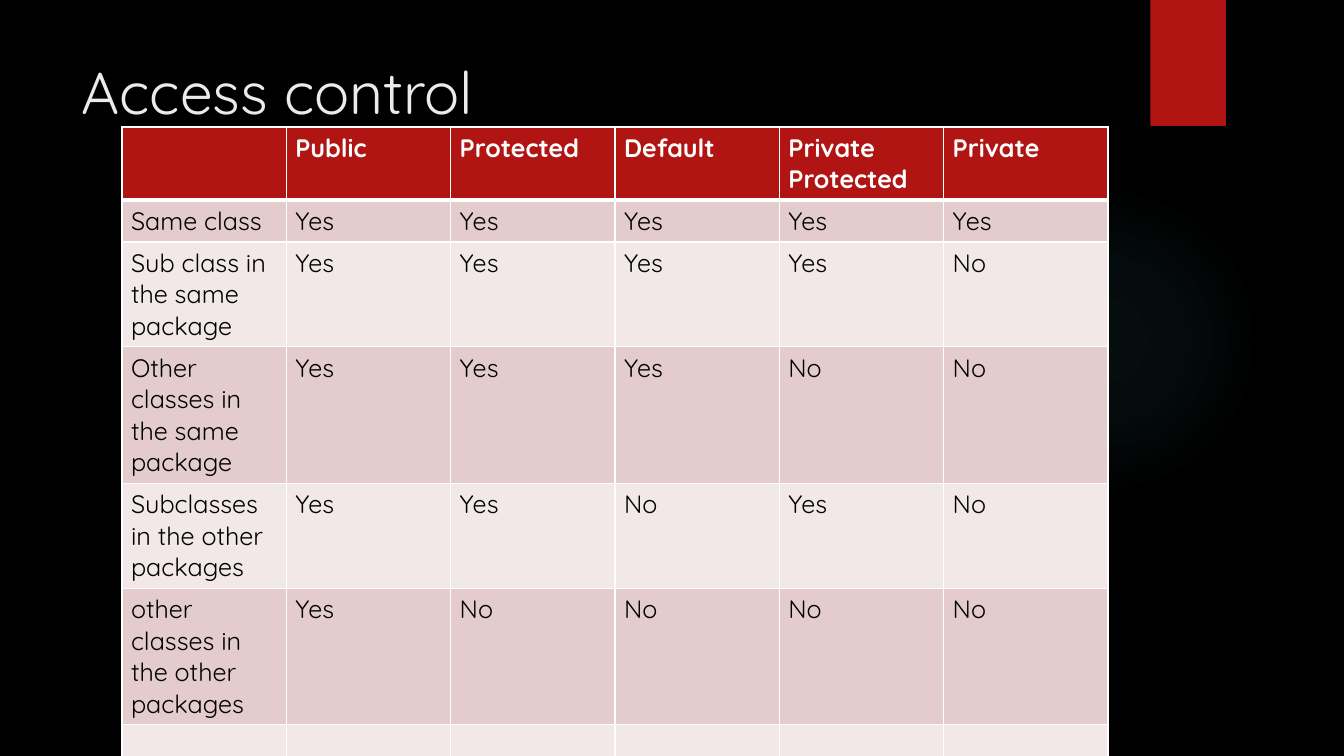
from lxml import etree
from pptx import Presentation
from pptx.dml.color import RGBColor
from pptx.enum.shapes import MSO_SHAPE
from pptx.enum.text import MSO_ANCHOR, PP_ALIGN
from pptx.oxml.ns import qn
from pptx.util import Inches, Pt

OVAL = MSO_SHAPE.OVAL
RECTANGLE = MSO_SHAPE.RECTANGLE
TOP = MSO_ANCHOR.TOP
LEFT = PP_ALIGN.LEFT

FONT = "Quicksand"
BLACK = "000000"
WHITE = "FFFFFF"
RED = "B01513"
GLOW = "50B9C1"
TITLE_COLOUR = "EBEBEB"
BANDS = ["F2E8E7", "E4CCCC"]

COLUMN_WIDTH = 1.63
ROW_HEIGHT = 0.41
ACCESS_ROWS = [
    ["", "Public", "Protected", "Default", "Private Protected", "Private"],
    ["Same class", "Yes", "Yes", "Yes", "Yes", "Yes"],
    ["Sub class in the same package", "Yes", "Yes", "Yes", "Yes", "No"],
    ["Other classes in the same package", "Yes", "Yes", "Yes", "No", "No"],
    ["Subclasses in the other packages", "Yes", "Yes", "No", "Yes", "No"],
    ["other classes in the other packages", "Yes", "No", "No", "No", "No"],
    [""] * 6,
]


def paint(fill, colour):
    """Give a fill one solid colour."""
    fill.solid()
    fill.fore_color.rgb = RGBColor.from_string(colour)


def add_span(para, text, size, colour, bold=False):
    """Add one formatted run to a paragraph."""
    span = para.add_run()
    span.text = text
    span.font.name = FONT
    span.font.size = Pt(size)
    span.font.bold = bold
    span.font.color.rgb = RGBColor.from_string(colour)


def add_plain_shape(page, kind, left, top, width, height, colour):
    """Add a preset shape without outline or shadow."""
    shape = page.shapes.add_shape(
        kind, Inches(left), Inches(top), Inches(width), Inches(height))
    shape.shadow.inherit = False
    shape.line.fill.background()
    paint(shape.fill, colour)
    return shape


def add_glow(page):
    """Add the faint round glow that fades out from its centre."""
    glow = add_plain_shape(page, OVAL, 9.41, 1.83, 3.08, 3.08, GLOW)
    properties = glow.element.spPr
    solid = properties.find(qn("a:solidFill"))
    gradient = etree.Element(qn("a:gradFill"), rotWithShape="1")
    stops = etree.SubElement(gradient, qn("a:gsLst"))
    for position, opacity in [(0, 7), (36, 6), (69, 0)]:
        stop = etree.SubElement(stops, qn("a:gs"), pos=str(position * 1000))
        colour = etree.SubElement(stop, qn("a:srgbClr"), val=GLOW)
        etree.SubElement(colour, qn("a:alpha"), val=str(opacity * 1000))
    circle = etree.SubElement(gradient, qn("a:path"), path="circle")
    etree.SubElement(circle, qn("a:fillToRect"),
                     l="50000", t="50000", r="50000", b="50000")
    properties.replace(solid, gradient)


def set_title(page, text):
    """Place and format the title placeholder."""
    title = page.shapes.title
    title.left, title.top = Inches(0.71), Inches(0.5)
    title.width, title.height = Inches(10.29), Inches(1.53)
    frame = title.text_frame
    frame.word_wrap = True
    frame.vertical_anchor = TOP
    para = frame.paragraphs[0]
    para.alignment = LEFT
    add_span(para, text, 42, TITLE_COLOUR)


def set_borders(cell, top, bottom):
    """Draw white cell borders with the given top and bottom widths."""
    properties = cell._tc.get_or_add_tcPr()
    sides = {"lnL": 1, "lnR": 1, "lnT": top, "lnB": bottom}
    for index, (side, width) in enumerate(sides.items()):
        line = etree.Element(qn(f"a:{side}"), w=str(Pt(width)))
        solid = etree.SubElement(line, qn("a:solidFill"))
        etree.SubElement(solid, qn("a:srgbClr"), val=WHITE)
        properties.insert(index, line)


def fill_cell(cell, text, row):
    """Write and style one cell according to its row."""
    header = row == 0
    paint(cell.fill, RED if header else BANDS[row % 2])
    set_borders(cell, top=3 if row == 1 else 1, bottom=3 if header else 1)
    cell.margin_left = cell.margin_right = Inches(0.09)
    cell.margin_top = cell.margin_bottom = Inches(0.05)
    if text:
        add_span(cell.text_frame.paragraphs[0], text, 18,
                 WHITE if header else BLACK, header)


def add_access_table(page):
    """Add the table of access levels."""
    frame = page.shapes.add_table(
        len(ACCESS_ROWS), len(ACCESS_ROWS[0]),
        Inches(1.21), Inches(1.26), Inches(9.78), Inches(6.11))
    table = frame.table
    for column in table.columns:
        column.width = Inches(COLUMN_WIDTH)
    for row, texts in enumerate(ACCESS_ROWS):
        table.rows[row].height = Inches(ROW_HEIGHT)
        for column, text in enumerate(texts):
            fill_cell(table.cell(row, column), text, row)
    frame.height = Inches(6.11)


def main():
    """Build the access control slide."""
    deck = Presentation()
    deck.slide_width, deck.slide_height = Inches(13.33), Inches(7.5)
    page = deck.slides.add_slide(deck.slide_layouts[5])
    paint(page.background.fill, BLACK)
    add_glow(page)
    add_plain_shape(page, RECTANGLE, 11.41, 0, 0.75, 1.25, RED)
    set_title(page, "Access control")
    add_access_table(page)
    deck.save("out.pptx")


if __name__ == "__main__":
    main()
